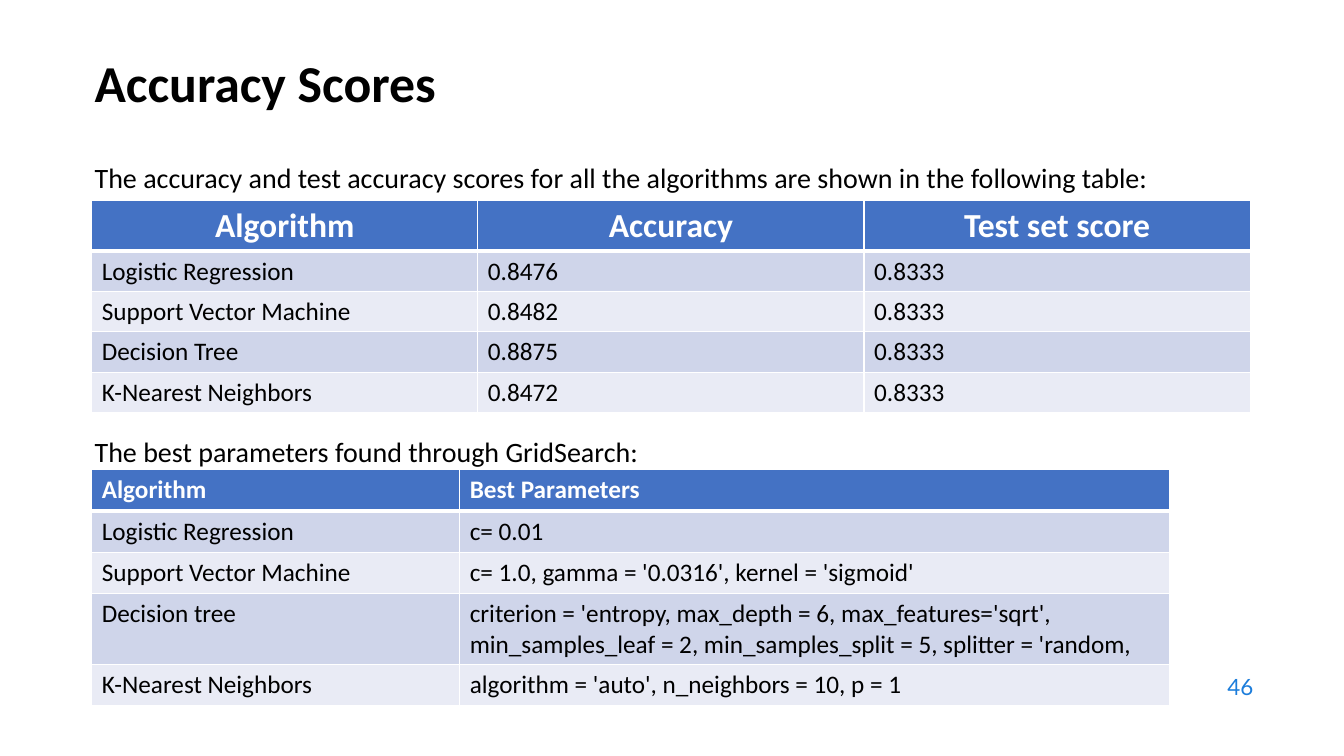
from lxml.etree import SubElement
from pptx import Presentation
from pptx.dml.color import RGBColor
from pptx.enum.text import MSO_ANCHOR as Anchor, PP_ALIGN as Align
from pptx.oxml.ns import qn
from pptx.util import Inches, Pt

COLORS = {
    "text": "000000",
    "number": "1C7DDB",
    "header": "4472C4",
    "odd_row": "CFD5EA",
    "even_row": "E9EBF5",
    "white": "FFFFFF",
}

deck = Presentation()
deck.slide_width, deck.slide_height = Inches(13.33), Inches(7.5)
page = deck.slides.add_slide(deck.slide_layouts[6])


def add_text(text, left, top, width, height, size, color="text", font="Calibri"):
    box = page.shapes.add_textbox(Inches(left), Inches(top), Inches(width), Inches(height))
    box.text_frame.word_wrap = True
    box.text_frame.text = text
    para = box.text_frame.paragraphs[0]
    para.font.size, para.font.name = Pt(size), font
    para.font.color.rgb = RGBColor.from_string(COLORS[color])
    return box.text_frame, para


def add_grid(rows, top, widths, row_height, header_size, header_align):
    frame = page.shapes.add_table(len(rows), len(widths), Inches(0.91), Inches(top),
                                  Inches(sum(widths)), Inches(row_height * len(rows)))
    table = frame.table
    for column, width in zip(table.columns, widths):
        column.width = Inches(width)
    for r, row in enumerate(rows):
        is_header = r == 0
        fill = "header" if is_header else "odd_row" if r % 2 else "even_row"
        for c, text in enumerate(row):
            cell = table.cell(r, c)
            cell.text = text
            para = cell.text_frame.paragraphs[0]
            para.alignment = header_align if is_header else Align.LEFT
            para.font.name, para.font.bold = "Calibri", is_header
            para.font.size = Pt(header_size if is_header else 18)
            para.font.color.rgb = RGBColor.from_string(COLORS["white" if is_header else "text"])
            # White borders, thicker between the header and the body
            for side in "LRTB":
                thick = (side == "B" and r == 0) or (side == "T" and r == 1)
                line = SubElement(cell._tc.get_or_add_tcPr(), qn(f"a:ln{side}"),
                                  w=str(Pt(3 if thick else 1)))
                SubElement(SubElement(line, qn("a:solidFill")), qn("a:srgbClr"),
                           val=COLORS["white"])
            cell.fill.solid()
            cell.fill.fore_color.rgb = RGBColor.from_string(COLORS[fill])
    return table


# Title and page number
title_frame, title = add_text("Accuracy Scores", 0.84, 0.59, 11.5, 0.6, 37)
title_frame.vertical_anchor = Anchor.MIDDLE
title.font.bold = True
title.line_spacing = 0.7

number_frame, number = add_text("46", 9.53, 6.59, 3, 0.44, 16, "number", "Lato")
number_frame.vertical_anchor = Anchor.MIDDLE
number.alignment = Align.RIGHT

# Accuracy scores
add_text("The accuracy and test accuracy scores for all the algorithms are shown "
         "in the following table:", 0.84, 1.54, 10.91, 0.44, 20)
scores = [
    ("Algorithm", "Accuracy", "Test set score"),
    ("Logistic Regression", "0.8476", "0.8333"),
    ("Support Vector Machine", "0.8482", "0.8333"),
    ("Decision Tree", "0.8875", "0.8333"),
    ("K-Nearest Neighbors", "0.8472", "0.8333"),
]
score_table = add_grid(scores, 1.99, [3.83] * 3, 0.4, 24, Align.CENTER)
score_table.rows[0].height = Inches(0.5)

# Best parameters
add_text("The best parameters found through GridSearch:", 0.84, 4.26, 10.91, 0.44, 20)
parameters = [
    ("Algorithm", "Best Parameters"),
    ("Logistic Regression", "c= 0.01"),
    ("Support Vector Machine", "c= 1.0, gamma = '0.0316', kernel = 'sigmoid'"),
    ("Decision tree", "criterion = 'entropy, max_depth = 6, max_features='sqrt', "
                      "min_samples_leaf = 2, min_samples_split = 5, splitter = 'random,"),
    ("K-Nearest Neighbors", "algorithm = 'auto', n_neighbors = 10, p = 1"),
]
parameter_table = add_grid(parameters, 4.66, [3.65, 7.04], 0.41, 18, Align.LEFT)
parameter_table.rows[3].height = Inches(0.7)

deck.save("out.pptx")
